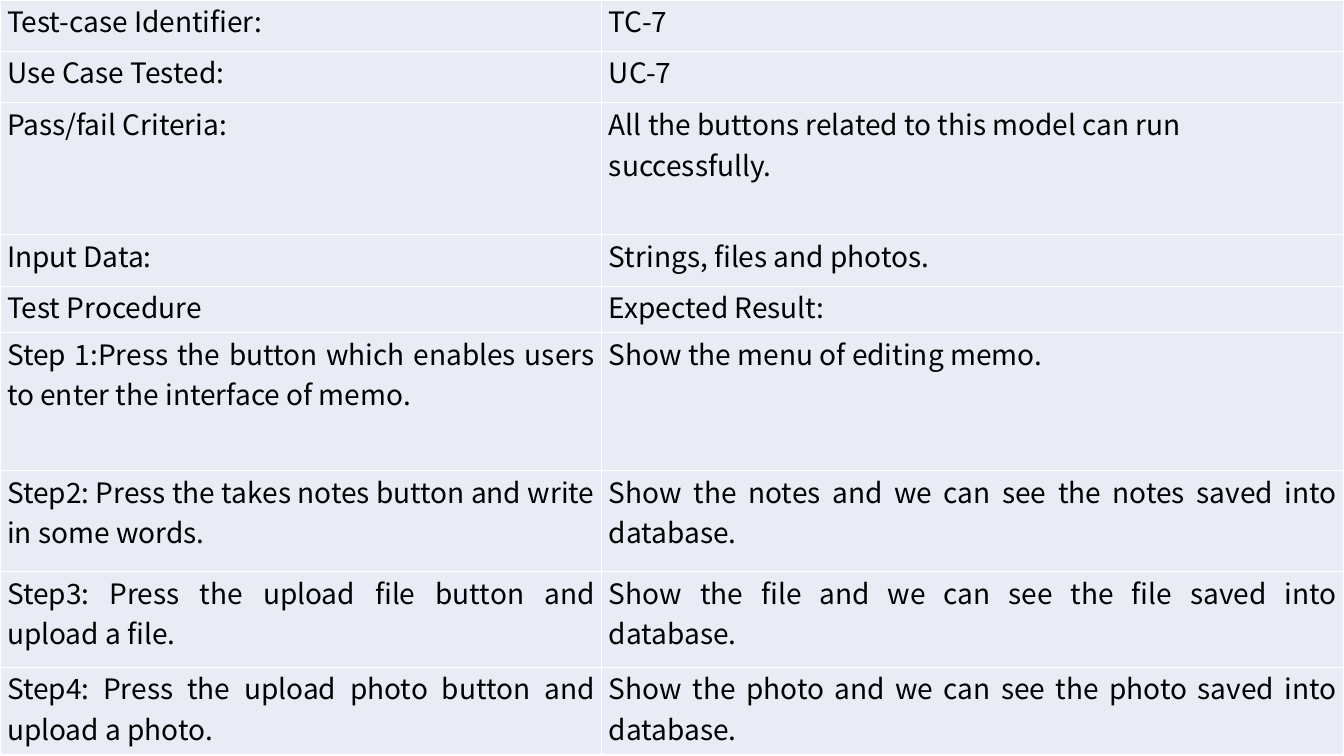
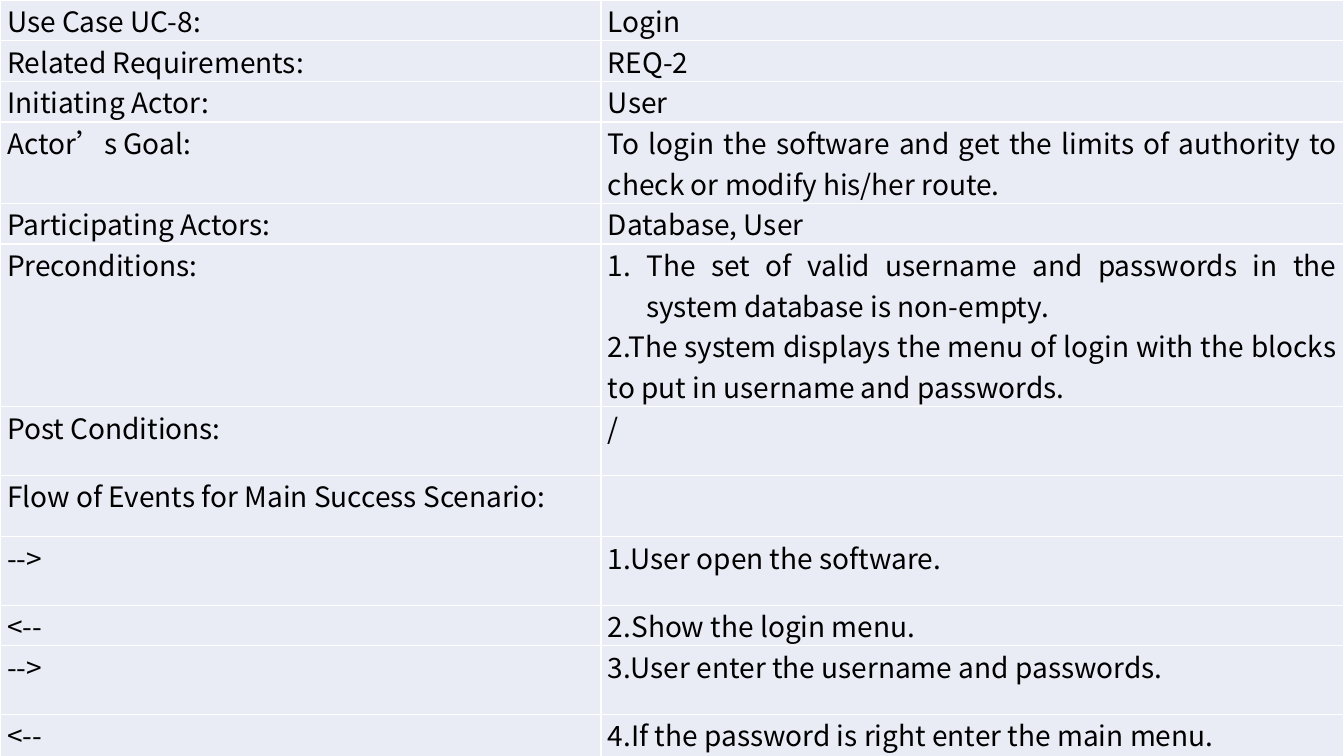
from dataclasses import dataclass

from lxml import etree
from pptx import Presentation
from pptx.dml.color import RGBColor
from pptx.enum.text import PP_ALIGN
from pptx.oxml.ns import qn
from pptx.util import Inches, Pt

JUSTIFY = PP_ALIGN.JUSTIFY
LEFT = PP_ALIGN.LEFT

SLIDE_WIDTH, SLIDE_HEIGHT = 13.33, 7.5
FONT = "Noto Sans CJK SC"
FONT_SIZE = 20
TEXT_COLOUR = "000000"
CELL_COLOUR = "E9EBF5"
BORDER_COLOUR = "FFFFFF"
BORDER_WIDTH = 1
SIDE_MARGIN = 0.07
NUMBER_INDENT = 0.38
BLANK_LAYOUT = 6


@dataclass(frozen=True)
class Entry:
    """One paragraph of a cell."""
    text: str
    align: PP_ALIGN = JUSTIFY
    numbered: bool = False


@dataclass(frozen=True)
class Row:
    """A label on the left and its paragraphs on the right."""
    height: float
    label: str
    entries: tuple[Entry, ...] = ()


@dataclass(frozen=True)
class Sheet:
    """A slide filled by one two-column table."""
    label_width: float
    rows: tuple[Row, ...]


TEST_CASE = Sheet(5.97, (
    Row(0.51, "Test-case Identifier:", (Entry("TC-7"),)),
    Row(0.51, "Use Case Tested:", (Entry("UC-7"),)),
    Row(1.31, "Pass/fail Criteria:",
        (Entry("All the buttons related to this model can run successfully.", LEFT),)),
    Row(0.51, "Input Data:", (Entry("Strings, files and photos."),)),
    Row(0.46, "Test Procedure", (Entry("Expected Result:"),)),
    Row(1.37, "Step 1:Press the button which enables users to enter the interface of memo.",
        (Entry("Show the menu of editing memo.", LEFT),)),
    Row(1, "Step2: Press the takes notes button and write in some words.",
        (Entry("Show the notes and we can see the notes saved into database."),)),
    Row(0.95, "Step3: Press the upload file button and upload a file.",
        (Entry("Show the file and we can see the file saved into database."),)),
    Row(0.87, "Step4: Press the upload photo button and upload a photo.",
        (Entry("Show the photo and we can see the photo saved into database."),)),
))

USE_CASE = Sheet(5.96, (
    Row(0.37, "Use Case UC-8:", (Entry("Login"),)),
    Row(0.37, "Related Requirements:", (Entry("REQ-2"),)),
    Row(0.37, "Initiating Actor:", (Entry("User", LEFT),)),
    Row(0.75, "Actor\u2019s Goal:",
        (Entry("To login the software and get the limits of authority "
               "to check or modify his/her route."),)),
    Row(0.37, "Participating Actors:", (Entry("Database, User"),)),
    Row(1.49, "Preconditions:",
        (Entry("The set of valid username and passwords in the system database "
               "is non-empty.", numbered=True),
         Entry("2.The system displays the menu of login with the blocks "
               "to put in username and passwords."))),
    Row(0.68, "Post Conditions:", (Entry("/"),)),
    Row(0.61, "Flow of Events for Main Success Scenario:"),
    Row(0.68, "-->", (Entry("1.User open the software."),)),
    Row(0.37, "<--", (Entry("2.Show the login menu."),)),
    Row(0.68, "-->", (Entry("3.User enter the username and passwords."),)),
    Row(0.75, "<--", (Entry("4.If the password is right enter the main menu."),)),
))


def colour(value: str) -> RGBColor:
    """Turn a hex string into a colour."""
    return RGBColor.from_string(value)


def number_paragraph(para) -> None:
    """Give a paragraph an automatic number and a hanging indent."""
    properties = para._p.get_or_add_pPr()
    properties.set("marL", str(Inches(NUMBER_INDENT)))
    properties.set("indent", str(-Inches(NUMBER_INDENT)))
    etree.SubElement(properties, qn("a:buAutoNum"), type="arabicPeriod")


def write_entry(para, entry: Entry) -> None:
    """Write and format one paragraph."""
    para.text = entry.text
    para.alignment = entry.align
    if entry.numbered:
        number_paragraph(para)
    for span in para.runs:
        span.font.name = FONT
        span.font.size = Pt(FONT_SIZE)
        span.font.color.rgb = colour(TEXT_COLOUR)
        etree.SubElement(span._r.get_or_add_rPr(), qn("a:ea"), typeface=FONT)


def draw_borders(cell) -> None:
    """Draw the four borders of a cell; call this before filling it."""
    properties = cell._tc.get_or_add_tcPr()
    for side in ("lnL", "lnR", "lnT", "lnB"):
        line = etree.SubElement(properties, qn(f"a:{side}"), w=str(Pt(BORDER_WIDTH)))
        fill = etree.SubElement(line, qn("a:solidFill"))
        etree.SubElement(fill, qn("a:srgbClr"), val=BORDER_COLOUR)


def fill_cell(cell, entries: tuple[Entry, ...]) -> None:
    """Style a cell and write its paragraphs."""
    draw_borders(cell)
    cell.fill.solid()
    cell.fill.fore_color.rgb = colour(CELL_COLOUR)
    cell.margin_left = cell.margin_right = Inches(SIDE_MARGIN)
    cell.margin_top = cell.margin_bottom = 0
    frame = cell.text_frame
    for index, entry in enumerate(entries):
        para = frame.add_paragraph() if index else frame.paragraphs[0]
        write_entry(para, entry)


def add_sheet(deck, sheet: Sheet) -> None:
    """Add a slide with its full-page table."""
    page = deck.slides.add_slide(deck.slide_layouts[BLANK_LAYOUT])
    table = page.shapes.add_table(
        len(sheet.rows), 2, 0, 0, deck.slide_width, deck.slide_height).table
    table.first_row = table.horz_banding = False
    table.columns[0].width = Inches(sheet.label_width)
    table.columns[1].width = deck.slide_width - Inches(sheet.label_width)
    for index, row in enumerate(sheet.rows):
        table.rows[index].height = Inches(row.height)
        fill_cell(table.cell(index, 0), (Entry(row.label),))
        fill_cell(table.cell(index, 1), row.entries)


def main() -> None:
    """Build and save the deck."""
    deck = Presentation()
    deck.slide_width = Inches(SLIDE_WIDTH)
    deck.slide_height = Inches(SLIDE_HEIGHT)
    for sheet in (TEST_CASE, USE_CASE):
        add_sheet(deck, sheet)
    deck.save("out.pptx")


main()
